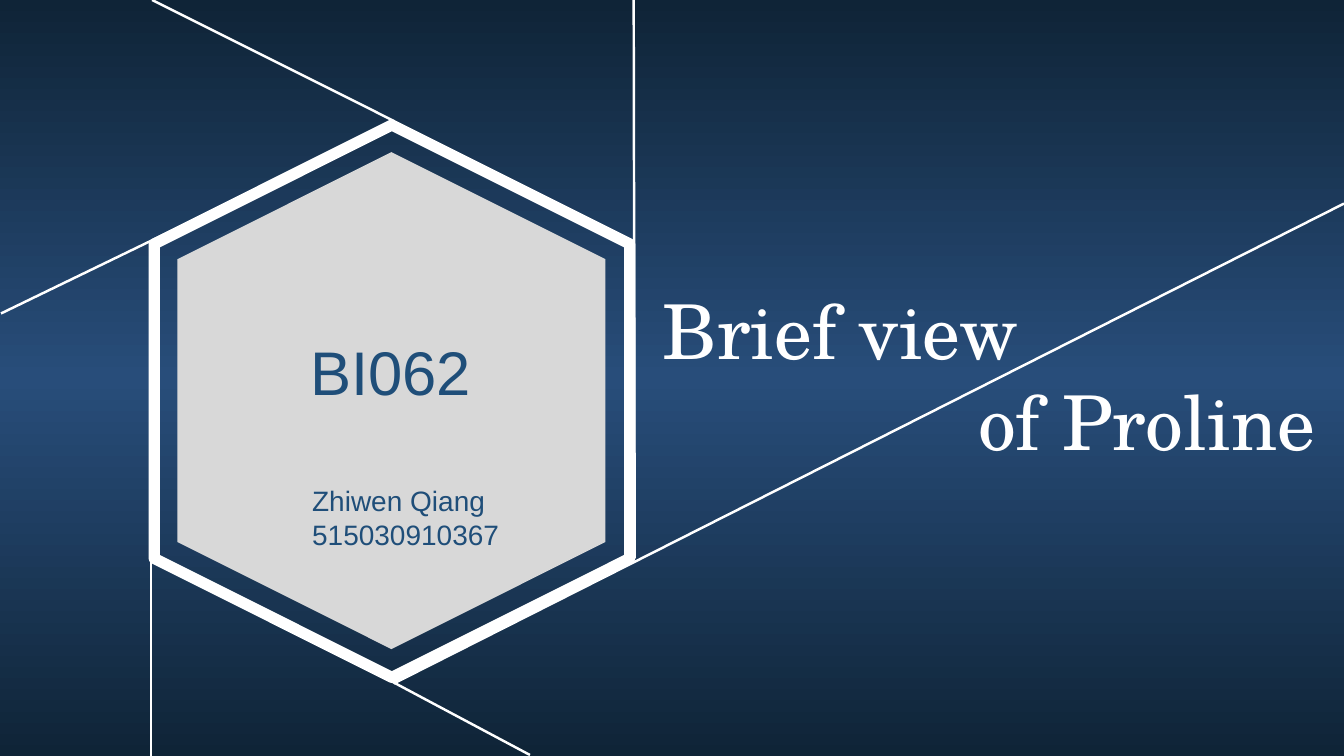
"""Build the title slide with a framed hexagon, radiating lines and a two-line title."""
import copy

import pptx
import pptx.dml.color
import pptx.enum.shapes
import pptx.oxml.ns
import pptx.oxml.xmlchemy
import pptx.util
from pptx.util import Inches

WHITE, NAVY, BLUE, GREY, INK = "FFFFFF", "0F2437", "284D7A", "D8D8D8", "1F4E79"
SLIDE_WIDTH, SLIDE_HEIGHT = 13.34, 7.5
RAYS = [
    (3.85, 6.74, 5.26, 7.49),
    (3.91, 6.78, 13.34, 2.02),
    (6.29, 0, 6.3, 5.54),
    (1.51, 0, 3.91, 1.2),
    (1.5, 5.1, 1.5, 7.5),
    (0.01, 3.11, 1.91, 2.19),
]


def color(hex_string):
    """Turn a hex string into a colour."""
    return pptx.dml.color.RGBColor.from_string(hex_string)


def paint_background(slide):
    """Fill the slide with a vertical dark, light, dark gradient."""
    fill = slide.background.fill
    fill.gradient()
    fill.gradient_angle = 270
    stop_list = fill._fill._gradFill.find(pptx.oxml.ns.qn("a:gsLst"))
    stop_list.append(copy.deepcopy(stop_list[-1]))
    for stop, position, shade in zip(fill.gradient_stops, (0, 0.5, 1), (NAVY, BLUE, NAVY)):
        stop.position = position
        stop.color.rgb = color(shade)


def add_rays(slide):
    """Draw the thin lines that run from the hexagon to the slide edges."""
    for ray in RAYS:
        line = slide.shapes.add_connector(
            pptx.enum.shapes.MSO_CONNECTOR.STRAIGHT, *map(Inches, ray))
        line.line.color.rgb = color(WHITE)
        line.line.width = pptx.util.Pt(1.75)
        properties = line._element.spPr
        properties.append(properties.makeelement(pptx.oxml.ns.qn("a:effectLst"), {}))


def add_hexagon(slide, left, top, width, height):
    """Add an upright hexagon without fill or outline."""
    hexagon = slide.shapes.add_shape(
        pptx.enum.shapes.MSO_SHAPE.HEXAGON, *map(Inches, (left, top, width, height)))
    hexagon.rotation = 90
    hexagon.adjustments[0] = 0.25
    hexagon.shadow.inherit = False
    hexagon.fill.background()
    hexagon.line.fill.background()
    return hexagon


def add_text(slide, box, lines, font_name, size, shade, indents):
    """Add a text box with one indented paragraph per line."""
    text_box = slide.shapes.add_textbox(*map(Inches, box))
    frame = text_box.text_frame
    frame.word_wrap = True
    frame.text = "\n".join(lines)
    for paragraph, indent in zip(frame.paragraphs, indents):
        paragraph._p.get_or_add_pPr().set("marL", str(Inches(indent)))
        for run in paragraph.runs:
            run.font.name = font_name
            run.font.size = pptx.util.Pt(size)
            run.font.color.rgb = color(shade)


def add_badge(slide, left, top, width, height):
    """Place the grey hexagon, its white frame and the course details in a box."""
    panel = add_hexagon(slide, left + 0.27, top + 0.23, width - 0.55, height - 0.47)
    panel.fill.solid()
    panel.fill.fore_color.rgb = color(GREY)
    border = add_hexagon(slide, left, top, width, height)
    border.line.color.rgb = color(WHITE)
    border.line.width = pptx.util.Pt(8)
    add_text(slide, (left + 1.83, top + 1.64, 3.07, 0.8), ["BI062"],
             "Arial", 44, INK, [0])
    add_text(slide, (left + 1.01, top + 3.13, 3.86, 0.77), ["Zhiwen Qiang", "515030910367"],
             "Arial", 20, INK, [0.84, 0.84])


def add_title(slide, left, top, width, height):
    """Place the stepped title in a box."""
    add_text(slide, (left, top, width, height), ["Brief view", "of Proline"],
             "TeX Gyre Schola", 54, WHITE, [0.17, 3.3])


def main():
    """Build and save the presentation."""
    presentation = pptx.Presentation()
    presentation.slide_width = Inches(SLIDE_WIDTH)
    presentation.slide_height = Inches(SLIDE_HEIGHT)
    slide = presentation.slides.add_slide(presentation.slide_layouts[6])
    paint_background(slide)
    add_rays(slide)
    add_badge(slide, 1.15, 1.62, 5.48, 4.72)
    add_title(slide, 6.31, 2.77, SLIDE_WIDTH - 6.31, 1.9)
    presentation.save("out.pptx")


if __name__ == "__main__":
    main()
